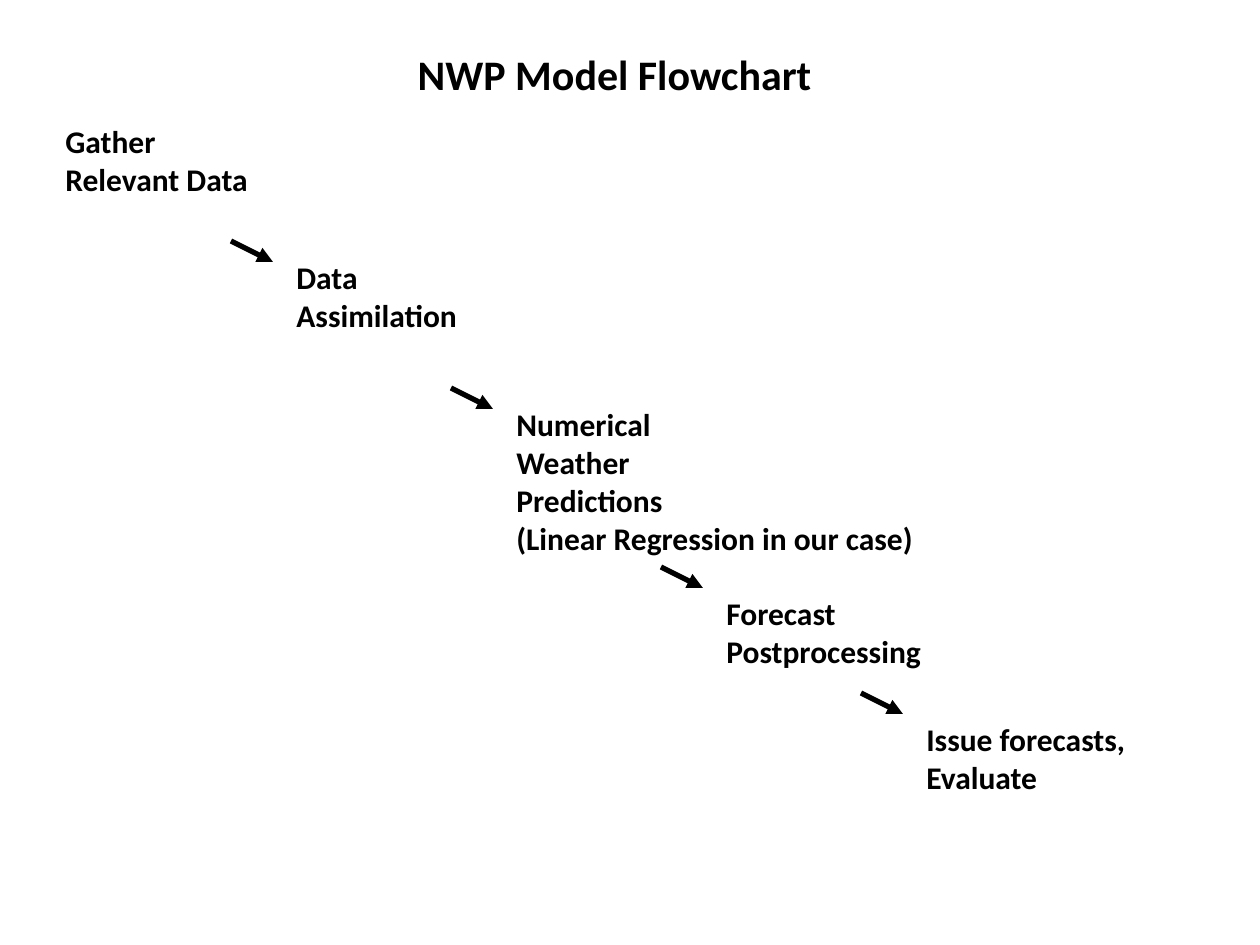
"""Build the NWP model flowchart slide."""
from lxml.etree import SubElement
from pptx import Presentation
from pptx.dml.color import RGBColor
from pptx.enum.shapes import MSO_CONNECTOR
from pptx.enum.text import MSO_AUTO_SIZE, PP_ALIGN
from pptx.oxml.ns import qn
from pptx.util import Inches, Pt

TITLE = "NWP Model Flowchart"
STEPS = [
    {"lines": ["Gather", "Relevant Data"], "box": (53, 116, 261, 89)},
    {"lines": ["Data", "Assimilation"], "box": (284, 252, 233, 89), "arrow_drop": 10},
    {"lines": ["Numerical", "Weather", "Predictions", "(Linear Regression in our case)"],
     "box": (504, 399, 543, 165), "arrow_drop": 10},
    {"lines": ["Forecast", "Postprocessing"], "box": (714, 588, 276, 89), "arrow_drop": 0},
    {"lines": ["Issue forecasts,", "Evaluate"], "box": (914, 714, 278, 89), "arrow_drop": 0},
]
ARROW_WIDTH, ARROW_HEIGHT, ARROW_GAP = 42, 21, 11
BLACK = "000000"


def pixels(value):
    return Inches(value / 126)


def color(value):
    return RGBColor.from_string(value)


def add_text(slide, lines, box, size, alignment=PP_ALIGN.LEFT):
    frame = slide.shapes.add_textbox(*map(pixels, box)).text_frame
    frame.word_wrap = True
    frame.auto_size = MSO_AUTO_SIZE.SHAPE_TO_FIT_TEXT
    frame.text = "\n".join(lines)
    for paragraph in frame.paragraphs:
        paragraph.alignment = alignment
        paragraph.font.name = "Calibri"
        paragraph.font.size = Pt(size)
        paragraph.font.bold = True
        paragraph.font.color.rgb = color(BLACK)


def add_arrow(slide, end_x, end_y):
    points = (end_x - ARROW_WIDTH, end_y - ARROW_HEIGHT, end_x, end_y)
    arrow = slide.shapes.add_connector(MSO_CONNECTOR.STRAIGHT, *map(pixels, points))
    arrow.line.color.rgb = color(BLACK)
    arrow.line.width = Pt(3)
    SubElement(arrow.line._get_or_add_ln(), qn("a:tailEnd"), type="triangle")
    SubElement(arrow._element.spPr, qn("a:effectLst"))


presentation = Presentation()
presentation.slide_width, presentation.slide_height = pixels(1260), pixels(945)
slide = presentation.slides.add_slide(presentation.slide_layouts[6])

add_text(slide, [TITLE], (32, 42, 1165, 63), 24, PP_ALIGN.CENTER)
for step in STEPS:
    left, top = step["box"][:2]
    if "arrow_drop" in step:
        add_arrow(slide, left - ARROW_GAP, top + step["arrow_drop"])
    add_text(slide, step["lines"], step["box"], 18)

presentation.save("out.pptx")
